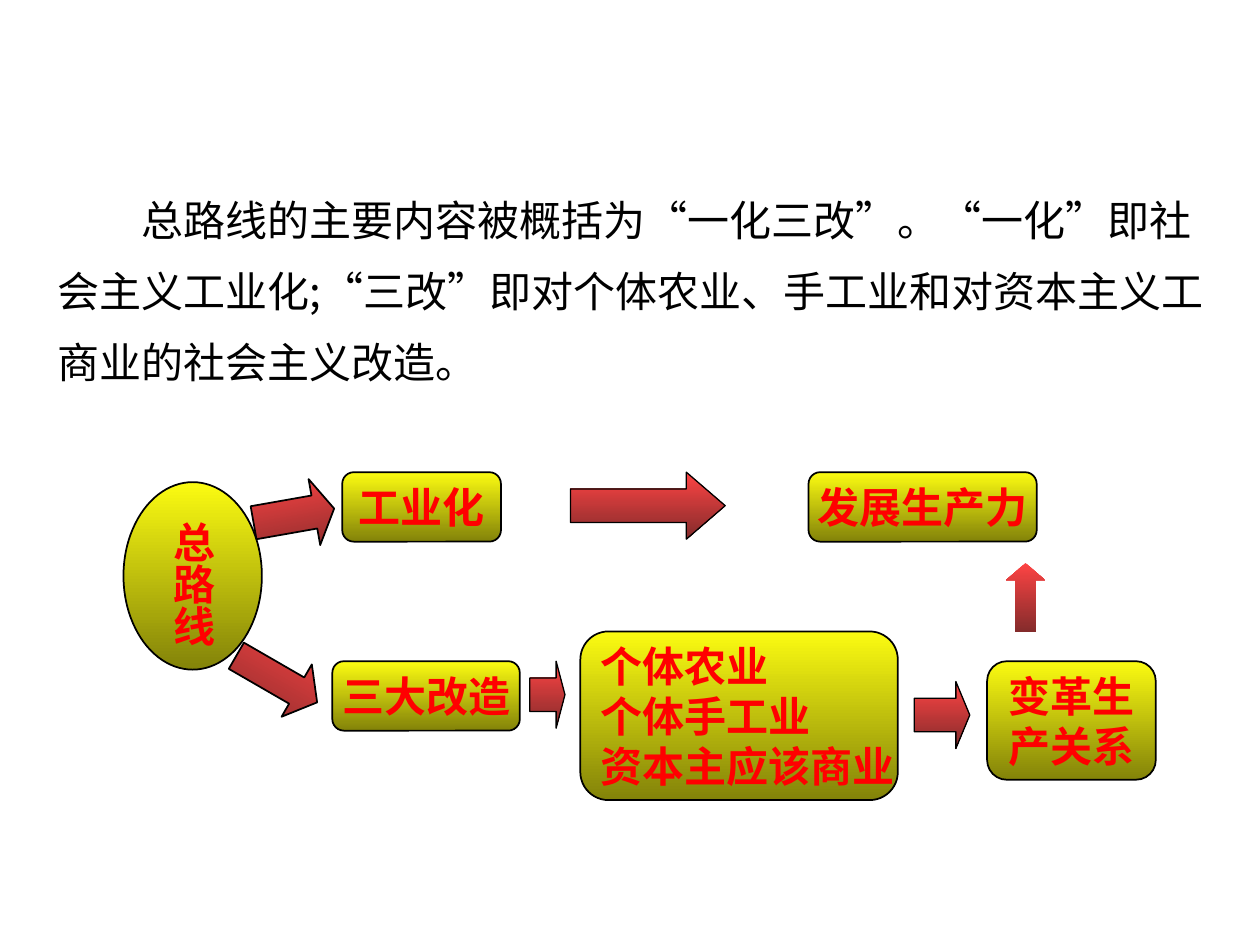
import pptx
import pptx.util
import pptx.dml.color
import pptx.enum.lang
import pptx.enum.shapes
import pptx.enum.text
from dataclasses import dataclass

Cm = pptx.util.Cm
Pt = pptx.util.Pt
Shape = pptx.enum.shapes.MSO_SHAPE
Align = pptx.enum.text.PP_ALIGN


@dataclass(frozen=True)
class Theme:
    ink: str = "000000"
    label: str = "FF0000"
    node: tuple = ("FBFB11", "838309")
    arrow: tuple = ("FE4444", "832B2B")
    body_font: str = "Noto Sans CJK SC"
    label_font: str = "Arial"
    size: float = 24


THEME = Theme()


def rgb(value):
    return pptx.dml.color.RGBColor.from_string(value)


def style_text(para, font_name, color, bold=False):
    for span in para.runs:
        font = span.font
        font.name = font_name
        font.size = Pt(THEME.size)
        font.bold = bold
        font.color.rgb = rgb(color)
        font.language_id = pptx.enum.lang.MSO_LANGUAGE_ID.SIMPLIFIED_CHINESE


def add_graded_shape(page, kind, origin, place, colors, line_width):
    """Add a shape at place (left, top, width, height in cm from origin), shaded downwards."""
    left, top, width, height = place
    shape = page.shapes.add_shape(kind, Cm(origin[0] + left), Cm(origin[1] + top),
                                  Cm(width), Cm(height))
    shape.shadow.inherit = False
    shape.fill.gradient()
    shape.fill.gradient_angle = 270
    for stop, position, color in zip(shape.fill.gradient_stops, (0, 1), colors):
        stop.position = position
        stop.color.rgb = rgb(color)
    if line_width:
        shape.line.color.rgb = rgb(THEME.ink)
        shape.line.width = Pt(line_width)
    else:
        shape.line.fill.background()
    return shape


def add_node(page, origin, text, place, kind=Shape.FLOWCHART_ALTERNATE_PROCESS,
             align=Align.CENTER, wrap=False, vertical=False):
    node = add_graded_shape(page, kind, origin, place, THEME.node, 1)
    frame = node.text_frame
    frame.text = text
    frame.word_wrap = wrap
    frame.vertical_anchor = pptx.enum.text.MSO_ANCHOR.MIDDLE
    if vertical:
        frame._txBody.bodyPr.set("vert", "eaVert")
    for para in frame.paragraphs:
        para.alignment = align
        style_text(para, THEME.label_font, THEME.label, bold=True)


def add_arrow(page, origin, place, head, line_width=0.75, kind=Shape.RIGHT_ARROW, rotation=0):
    arrow = add_graded_shape(page, kind, origin, place, THEME.arrow, line_width)
    arrow.adjustments[0] = 0.5
    arrow.adjustments[1] = head
    arrow.rotation = rotation


def add_summary(page, left, top, width, height):
    box = page.shapes.add_textbox(Cm(left), Cm(top), Cm(width), Cm(height))
    frame = box.text_frame
    frame.word_wrap = True
    frame.text = ("总路线的主要内容被概括为“一化三改”。“一化”即社会主义工业化;"
                  "“三改”即对个体农业、手工业和对资本主义工商业的社会主义改造。").replace(";", ";")
    para = frame.paragraphs[0]
    para.line_spacing = 1.4
    para._p.get_or_add_pPr().set("indent", str(Cm(1.69)))
    style_text(para, THEME.body_font, THEME.ink)


def add_route_diagram(page, left, top):
    origin = (left, top)
    lower = 3.81  # top of the lower row
    row_height, arrow_height = 1.4, 1.35

    add_arrow(page, origin, (17.79, 1.83, 0.79, 1.4), 0.44, line_width=0, kind=Shape.UP_ARROW)
    add_arrow(page, origin, (9.01, 0, 3.12, arrow_height), 0.58)
    add_node(page, origin, "工业化", (4.41, 0, 3.2, row_height))
    add_node(page, origin, "三大改造", (4.21, lower, 3.78, row_height))
    add_node(page, origin, "总路线", (0, 0.2, 2.79, 3.78), kind=Shape.OVAL, vertical=True)
    add_arrow(page, origin, (2.61, 0.2, 1.65, arrow_height), 0.3, line_width=1, rotation=350)
    add_arrow(page, origin, (2.15, 3.56, 1.88, 1.22), 0.39, line_width=1, rotation=30)
    add_node(page, origin, "发展生产力", (13.81, 0, 4.6, row_height))
    add_node(page, origin, "变革生产关系", (17.41, lower, 3.4, 2.39), wrap=True)
    add_node(page, origin, "个体农业\n个体手工业\n资本主应该商业", (9.21, 3.21, 6.4, 3.4),
             align=Align.LEFT)
    add_arrow(page, origin, (15.94, 4.22, 1.12, arrow_height), 0.25)
    add_arrow(page, origin, (8.19, lower, 0.71, arrow_height), 0.25)


def main():
    deck = pptx.Presentation()
    deck.slide_width, deck.slide_height = Cm(25.4), Cm(19.05)
    page = deck.slides.add_slide(deck.slide_layouts[6])
    add_summary(page, 0.91, 3.4, 23.62, 6.12)
    add_route_diagram(page, 2.49, 9.52)
    deck.save("out.pptx")


if __name__ == "__main__":
    main()
